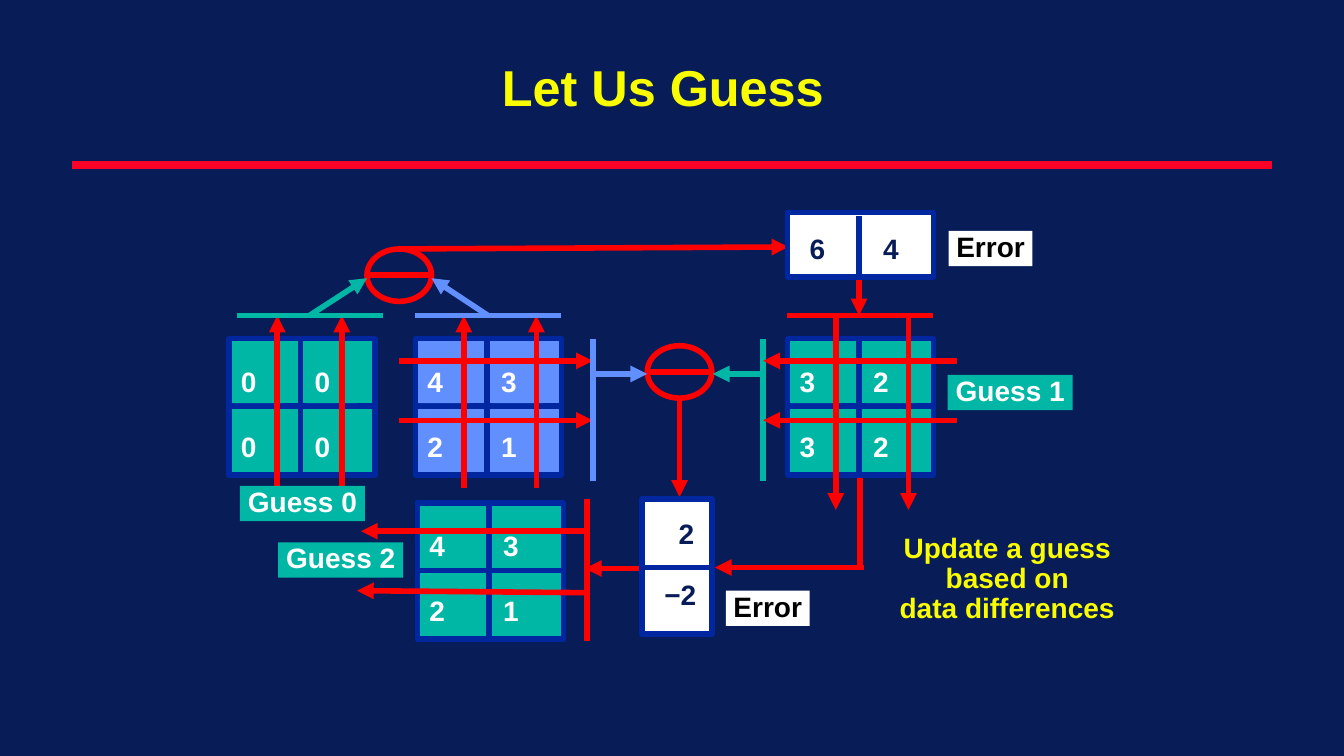
from dataclasses import dataclass
from lxml.etree import SubElement
from pptx import Presentation
from pptx.dml.color import RGBColor
from pptx.enum.shapes import MSO_CONNECTOR, MSO_SHAPE
from pptx.enum.text import MSO_ANCHOR, PP_ALIGN
from pptx.oxml.ns import qn
from pptx.util import Inches, Pt


@dataclass(frozen=True)
class Theme:
    font: str = "Arial"
    title_size: int = 36
    text_size: int = 20
    line_width: int = 4
    rule_width: int = 6
    navy: str = "081D58"
    border: str = "00279F"
    red: str = "FF0000"
    rule: str = "FC0128"
    teal: str = "00B7A5"
    blue: str = "618FFD"
    yellow: str = "FAFD00"
    white: str = "FFFFFF"
    black: str = "000000"


T = Theme()


def line(s, x1, y1, x2, y2, color=T.red, arrow=False, width=T.line_width):
    c = s.shapes.add_connector(
        MSO_CONNECTOR.STRAIGHT, Inches(x1), Inches(y1), Inches(x2), Inches(y2))
    c.line.color.rgb = RGBColor.from_string(color)
    c.line.width = Pt(width)
    if arrow:
        SubElement(c.line._get_or_add_ln(), qn("a:tailEnd"), type="triangle")
    SubElement(c._element.spPr, qn("a:effectLst"))


def arrow(s, x1, y1, x2, y2, color=T.red):
    line(s, x1, y1, x2, y2, color, True)


def shape(s, x, y, w, h, fill, outline=None, kind=MSO_SHAPE.RECTANGLE):
    sp = s.shapes.add_shape(kind, Inches(x), Inches(y), Inches(w), Inches(h))
    sp.shadow.inherit = False
    sp.fill.solid()
    sp.fill.fore_color.rgb = RGBColor.from_string(fill)
    if outline:
        sp.line.color.rgb = RGBColor.from_string(outline)
        sp.line.width = Pt(T.line_width)
    else:
        sp.line.fill.background()
    return sp


def write(sp, rows, color, size=T.text_size, align=PP_ALIGN.CENTER,
          spacing=0.88, inset=(0.07, 0.03), wrap=False):
    tf = sp.text_frame
    tf.word_wrap = wrap
    tf.vertical_anchor = MSO_ANCHOR.TOP
    tf.margin_left = tf.margin_right = Inches(inset[0])
    tf.margin_top = tf.margin_bottom = Inches(inset[1])
    p = tf.paragraphs[0]
    p.alignment = align
    p.line_spacing = spacing
    for i, row in enumerate(rows):
        if i:
            p.add_line_break()
        r = p.add_run()
        r.text = row
        r.font.name = T.font
        r.font.size = Pt(size)
        r.font.bold = True
        r.font.color.rgb = RGBColor.from_string(color)


def cell(s, x, y, text, fill, color, w=0.5):
    write(shape(s, x, y, w, 0.39, fill), [text], color, align=PP_ALIGN.LEFT,
          spacing=0.9, inset=(0.08, 0.04), wrap=True)


def label(s, x, y, text, fill, color, w=1.24):
    write(shape(s, x, y, w, 0.35, fill), [text], color)


def matrix(s, x, y, values, fill):
    shape(s, x, y, 1.45, 1.35, fill, T.border)
    line(s, x + 0.71, y + 1.35, x + 0.71, y + 0.02, T.border)
    line(s, x + 0.02, y + 0.67, x + 1.43, y + 0.67, T.border)
    for i, row in enumerate(values):
        for j, value in enumerate(row):
            cell(s, x + 0.04 + 0.73 * j, y + 0.25 + 0.65 * i,
                 str(value), fill, T.white)


def guess_zero(s, x, y):
    matrix(s, x, y, ((0, 0), (0, 0)), T.teal)
    for dx in (0.48, 1.12):
        arrow(s, x + dx, y + 1.48, x + dx, y - 0.23)
    line(s, x + 0.08, y - 0.23, x + 1.53, y - 0.23, T.teal)
    label(s, x + 0.11, y + 1.46, "Guess 0", T.teal, T.white)


def data(s, x, y):
    matrix(s, x, y, ((4, 3), (2, 1)), T.blue)
    for dx in (0.48, 1.2):
        arrow(s, x + dx, y + 1.48, x + dx, y - 0.23)
    line(s, x, y - 0.23, x + 1.44, y - 0.23, T.blue)
    for dy in (0.22, 0.81):
        arrow(s, x - 0.16, y + dy, x + 1.76, y + dy)
    line(s, x + 1.76, y, x + 1.76, y + 1.41, T.blue)


def guess_one(s, x, y):
    matrix(s, x, y, ((3, 2), (3, 2)), T.teal)
    line(s, x, y - 0.23, x + 1.44, y - 0.23)
    for dx in (0.48, 1.2):
        arrow(s, x + dx, y - 0.23, x + dx, y + 1.7)
    line(s, x - 0.24, y, x - 0.24, y + 1.41, T.teal)
    for dy in (0.22, 0.81):
        arrow(s, x + 1.68, y + dy, x - 0.24, y + dy)
    label(s, x + 1.59, y + 0.36, "Guess 1", T.teal, T.white)


def guess_two(s, x, y):
    matrix(s, x, y, ((4, 3), (2, 1)), T.teal)
    line(s, x + 1.68, y - 0.04, x + 1.68, y + 1.37)
    arrow(s, x + 1.66, y + 0.28, x - 0.56, y + 0.28)
    arrow(s, x + 1.68, y + 0.89, x - 0.6, y + 0.87)
    label(s, x - 1.38, y + 0.39, "Guess 2", T.teal, T.white)


def difference(s, x, y):
    shape(s, x, y, 0.64, 0.52, T.navy, T.red, MSO_SHAPE.OVAL)
    line(s, x, y + 0.26, x + 0.64, y + 0.26)


def column_difference(s, x, y):
    difference(s, x, y)
    arrow(s, x - 0.57, y + 0.66, x, y + 0.29, T.teal)
    arrow(s, x + 1.2, y + 0.66, x + 0.64, y + 0.29, T.blue)
    arrow(s, x + 0.32, y, x + 4.18, y - 0.02)


def row_difference(s, x, y):
    difference(s, x, y)
    arrow(s, x - 0.56, y + 0.28, x, y + 0.28, T.blue)
    arrow(s, x + 1.13, y + 0.28, x + 0.65, y + 0.28, T.teal)
    arrow(s, x + 0.32, y + 0.5, x + 0.32, y + 1.5)


def column_error(s, x, y):
    arrow(s, x + 0.71, y + 0.36, x + 0.71, y + 1.02)
    shape(s, x, y, 1.45, 0.64, T.white, T.border)
    line(s, x + 0.71, y + 0.63, x + 0.71, y + 0.03, T.border)
    for j, value in enumerate("64"):
        cell(s, x + 0.14 + 0.73 * j, y + 0.18, value, T.white, T.navy)
    label(s, x + 1.6, y + 0.18, "Error", T.white, T.black, 0.83)


def row_error(s, x, y):
    arrow(s, x + 0.35, y + 0.69, x - 0.57, y + 0.69)
    shape(s, x, y, 0.69, 1.34, T.white, T.border)
    line(s, x + 0.01, y + 0.68, x + 0.67, y + 0.68, T.border)
    cell(s, x + 0.14, y + 0.78, "−2", T.white, T.navy)
    cell(s, x + 0.28, y + 0.17, "2", T.white, T.navy, 0.34)
    line(s, x + 2.16, y - 0.21, x + 2.16, y + 0.68)
    arrow(s, x + 2.2, y + 0.68, x + 0.72, y + 0.68)
    label(s, x + 0.83, y + 0.91, "Error", T.white, T.black, 0.83)


def caption(s, x, y):
    sp = s.shapes.add_textbox(Inches(x), Inches(y), Inches(2.3), Inches(0.95))
    write(sp, ("Update a guess", "based on", "data differences"), T.yellow)


def heading(s, x, y):
    sp = s.shapes.title
    sp.left, sp.top = Inches(x), Inches(y)
    sp.width, sp.height = Inches(3.37), Inches(0.59)
    write(sp, ["Let Us Guess"], T.yellow, T.title_size)
    line(s, 0.71, y + 1.04, 12.62, y + 1.04, T.rule, width=T.rule_width)


def main():
    prs = Presentation()
    prs.slide_width, prs.slide_height = Inches(13.33), Inches(7.5)
    s = prs.slides.add_slide(prs.slide_layouts[5])
    s.background.fill.solid()
    s.background.fill.fore_color.rgb = RGBColor.from_string(T.navy)
    heading(s, 4.89, 0.6)
    guess_zero(s, 2.27, 3.36)
    data(s, 4.12, 3.36)
    guess_one(s, 7.81, 3.36)
    column_difference(s, 3.64, 2.47)
    row_difference(s, 6.42, 3.43)
    column_error(s, 7.81, 2.11)
    row_error(s, 6.37, 4.95)
    guess_two(s, 4.14, 4.99)
    caption(s, 8.84, 5.28)
    prs.save("out.pptx")


if __name__ == "__main__":
    main()
